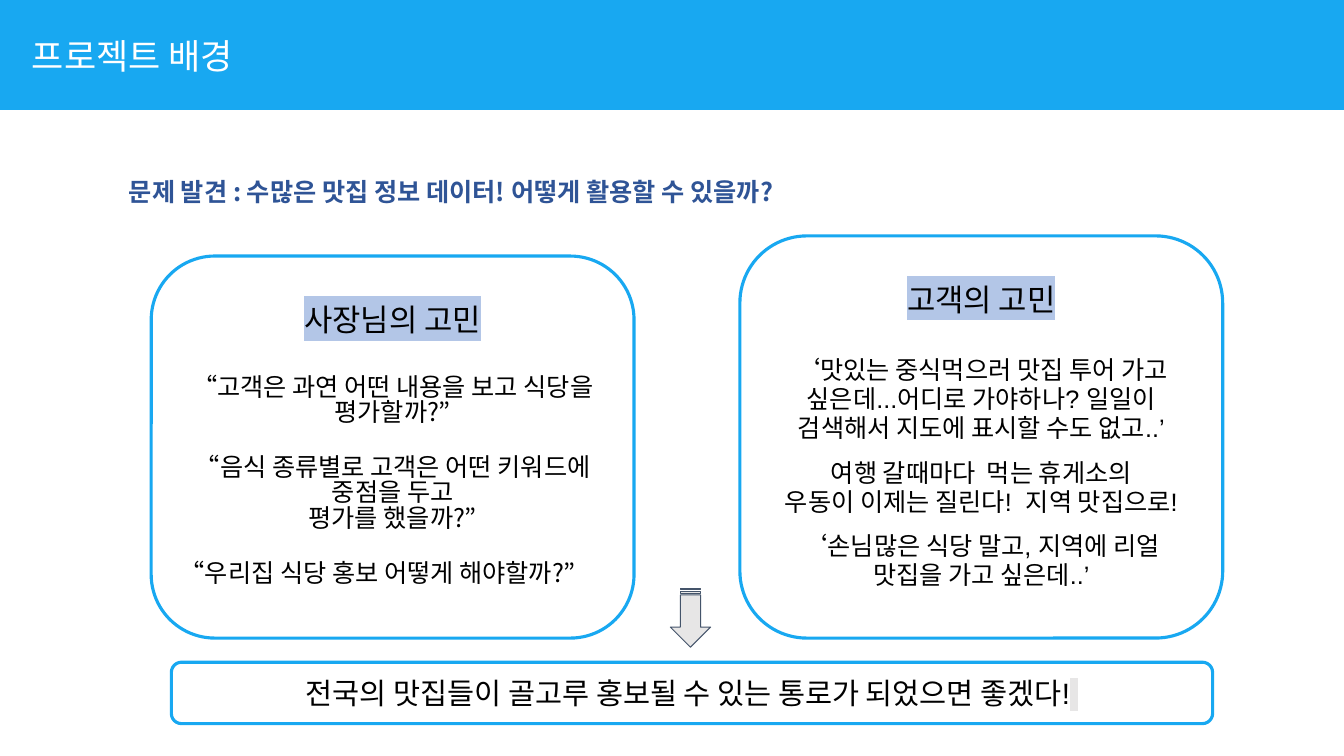
from lxml import etree
from pptx import Presentation
from pptx.dml.color import RGBColor
from pptx.enum.shapes import MSO_SHAPE
from pptx.enum.text import MSO_ANCHOR, PP_ALIGN
from pptx.oxml.ns import qn
from pptx.util import Pt

ROUNDED = MSO_SHAPE.ROUNDED_RECTANGLE
BAR = MSO_SHAPE.RECTANGLE
ARROW = MSO_SHAPE.STRIPED_RIGHT_ARROW
LEFT, CENTER = PP_ALIGN.LEFT, PP_ALIGN.CENTER
MIDDLE, TOP = MSO_ANCHOR.MIDDLE, MSO_ANCHOR.TOP

THEME = {
    "blue": "18A8F1", "navy": "2F5496", "white": "FFFFFF", "black": "000000",
    "mark": "B3C6E7", "grey": "E7E6E6", "slate": "44546A",
    "korean": "Noto Sans CJK KR", "latin": "Arial",
    "title": 25, "heading": 22, "body": 18, "goal": 21,
}

TITLE = "프로젝트 배경"
QUESTION = "문제 발견 : 수많은 맛집 정보 데이터! 어떻게 활용할 수 있을까?"
GOAL = "전국의 맛집들이 골고루 홍보될 수 있는 통로가 되었으면 좋겠다!"

WORRIES = [
    {
        "area": (108, 182.9, 344.9, 272.9), "font": "korean", "spacing": 0.84,
        "heading": "사장님의 고민",
        "lines": [
            ("“고객은 과연 어떤 내용을 보고 식당을 평가할까?”", 27, CENTER),
            ("“음식 종류별로 고객은 어떤 키워드에 중점을 두고", 21, CENTER),
            ("평가를 했을까?”", 0, CENTER),
            ("“우리집 식당 홍보 어떻게 해야할까?”", 21, LEFT),
        ],
    },
    {
        "area": (528.5, 168.5, 344.9, 287.3), "font": "latin", "spacing": 0.96,
        "heading": "고객의 고민",
        "lines": [
            ("‘맛있는 중식먹으러 맛집 투어 가고 싶은데...어디로 가야하나? "
             "일일이 검색해서 지도에 표시할 수도 없고..’", 27, CENTER),
            ("여행 갈때마다  먹는 휴게소의", 11, CENTER),
            ("우동이 이제는 질린다!  지역 맛집으로!", 0, CENTER),
            ("‘손님많은 식당 말고, 지역에 리얼 맛집을 가고 싶은데..’", 11, CENTER),
        ],
    },
]


def color(name):
    return RGBColor.from_string(THEME[name])


def add_shape(page, kind, area, fill, line=None, weight=2.25):
    shape = page.shapes.add_shape(kind, *map(Pt, area))
    shape.shadow.inherit = False
    shape.fill.solid()
    shape.fill.fore_color.rgb = color(fill)
    if line:
        shape.line.color.rgb = color(line)
        shape.line.width = Pt(weight)
    else:
        shape.line.fill.background()
    return shape


def prepare(box, anchor):
    frame = box.text_frame
    frame.word_wrap = True
    frame.vertical_anchor = anchor
    return frame


def add_para(frame, first=False, align=LEFT, before=0, spacing=1.0):
    para = frame.paragraphs[0] if first else frame.add_paragraph()
    para.alignment = align
    para.space_before = Pt(before)
    para.line_spacing = spacing
    return para


def add_span(para, text, size, font, ink, bold=False, mark=None):
    span = para.add_run()
    span.text = text
    span.font.size = Pt(THEME[size])
    span.font.bold = bold
    span.font.color.rgb = color(ink)
    span.font.name = THEME[font]
    props = span.font._element
    latin = props.find(qn("a:latin"))
    asian = etree.Element(qn("a:ea"), typeface=THEME["korean"])
    latin.addnext(asian)
    if mark:
        highlight = etree.Element(qn("a:highlight"))
        etree.SubElement(highlight, qn("a:srgbClr"), val=THEME[mark])
        latin.addprevious(highlight)


def add_label(page, area, text, size, ink, bold=False):
    box = page.shapes.add_textbox(*map(Pt, area))
    para = add_para(prepare(box, TOP), first=True)
    add_span(para, text, size, "korean", ink, bold)


def add_worry(page, worry):
    box = add_shape(page, ROUNDED, worry["area"], "white", "blue")
    frame = prepare(box, MIDDLE)
    font, spacing = worry["font"], worry["spacing"]
    para = add_para(frame, True, CENTER, 0, spacing)
    add_span(para, worry["heading"], "heading", font, "black", mark="mark")
    for text, before, align in worry["lines"]:
        para = add_para(frame, False, align, before, spacing)
        add_span(para, text, "body", font, "black")


def main():
    deck = Presentation()
    deck.slide_width, deck.slide_height = Pt(960), Pt(540)
    page = deck.slides.add_slide(deck.slide_layouts[6])

    for worry in WORRIES:
        add_worry(page, worry)

    add_shape(page, BAR, (0, 0, 960, 78.5), "blue")
    add_label(page, (15.8, 20.9, 492.5, 37.4), TITLE, "title", "white")
    add_label(page, (85, 122.4, 607, 28.8), QUESTION, "body", "navy", True)

    goal = add_shape(page, ROUNDED, (122.4, 473, 743.8, 43.9), "white", "blue")
    para = add_para(prepare(goal, MIDDLE), first=True, align=CENTER)
    add_span(para, GOAL, "goal", "latin", "black")
    add_span(para, " ", "goal", "latin", "black", mark="grey")

    arrow = add_shape(page, ARROW, (472.3, 427, 41.8, 28.8), "grey", "slate", 0.75)
    arrow.rotation = 90

    deck.save("out.pptx")


if __name__ == "__main__":
    main()
